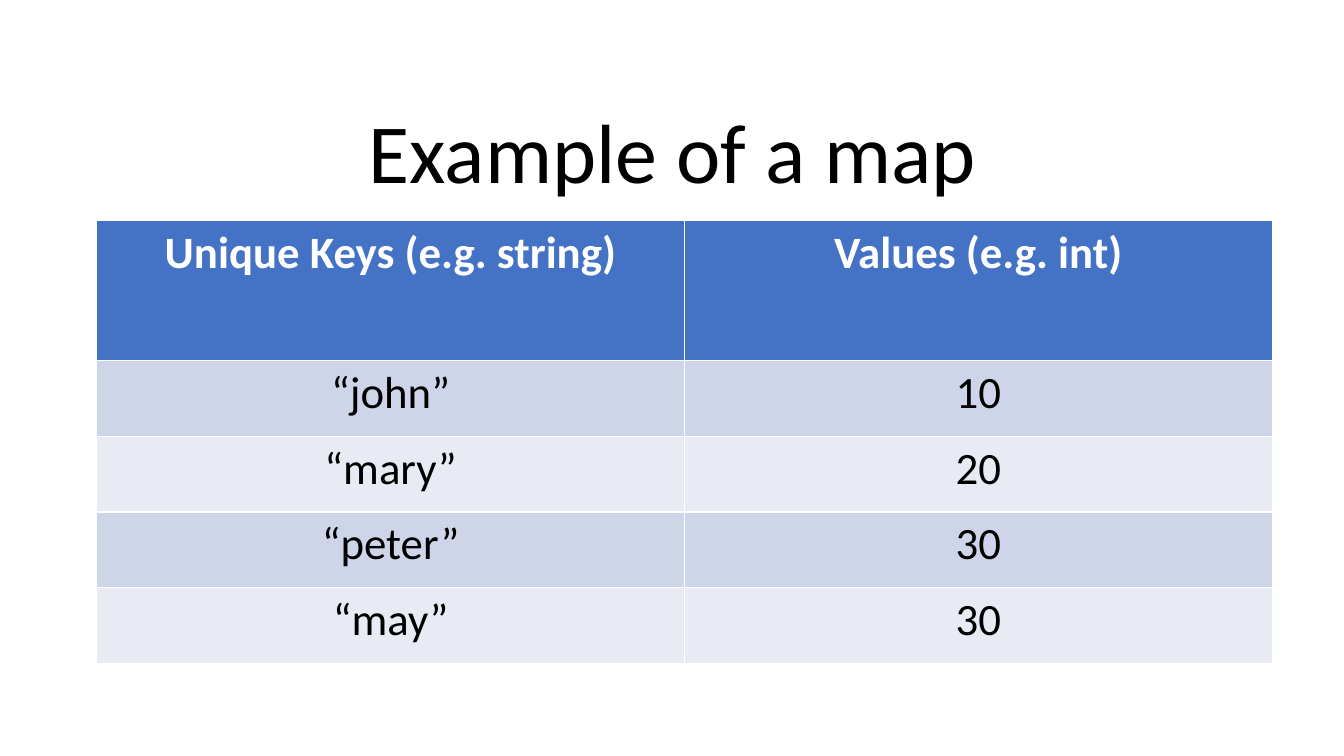
from pptx import Presentation
from pptx.dml.color import RGBColor
from pptx.enum.text import MSO_ANCHOR, MSO_AUTO_SIZE, PP_ALIGN
from pptx.util import Inches, Pt


def rgb(value):
    return RGBColor.from_string(value)


def add_text(p, text, size, color, bold=False):
    p.alignment = PP_ALIGN.CENTER
    r = p.add_run()
    r.text = text
    r.font.name = "Calibri"
    r.font.size = Pt(size)
    r.font.bold = bold
    r.font.color.rgb = rgb(color)


prs = Presentation()
prs.slide_width = Inches(13.33)
prs.slide_height = Inches(7.5)
s = prs.slides.add_slide(prs.slide_layouts[5])

title = s.shapes.title
title.left, title.top = Inches(1.67), Inches(0.92)
title.width, title.height = Inches(10), Inches(1.13)
tf = title.text_frame
tf.word_wrap = True
tf.auto_size = MSO_AUTO_SIZE.NONE
tf.vertical_anchor = MSO_ANCHOR.BOTTOM
p = tf.paragraphs[0]
p.line_spacing = 0.9
add_text(p, "Example of a map", 60, "000000")

rows = [
    ("Unique Keys (e.g. string)", "Values (e.g. int)"),
    ("“john”", "10"),
    ("“mary”", "20"),
    ("“peter”", "30"),
    ("“may”", "30"),
]
table = s.shapes.add_table(
    len(rows), 2, Inches(0.96), Inches(2.19), Inches(11.66), Inches(4.39)
).table
for col in table.columns:
    col.width = Inches(5.83)

for i, row in enumerate(rows):
    header = i == 0
    table.rows[i].height = Inches(1.39 if header else 0.75)
    fill = "4472C4" if header else ("E8EBF4", "CFD5E9")[i % 2]
    for j, text in enumerate(row):
        cell = table.cell(i, j)
        cell.fill.solid()
        cell.fill.fore_color.rgb = rgb(fill)
        p = cell.text_frame.paragraphs[0]
        add_text(p, text, 32, "FFFFFF" if header else "000000", header)

prs.save("out.pptx")
